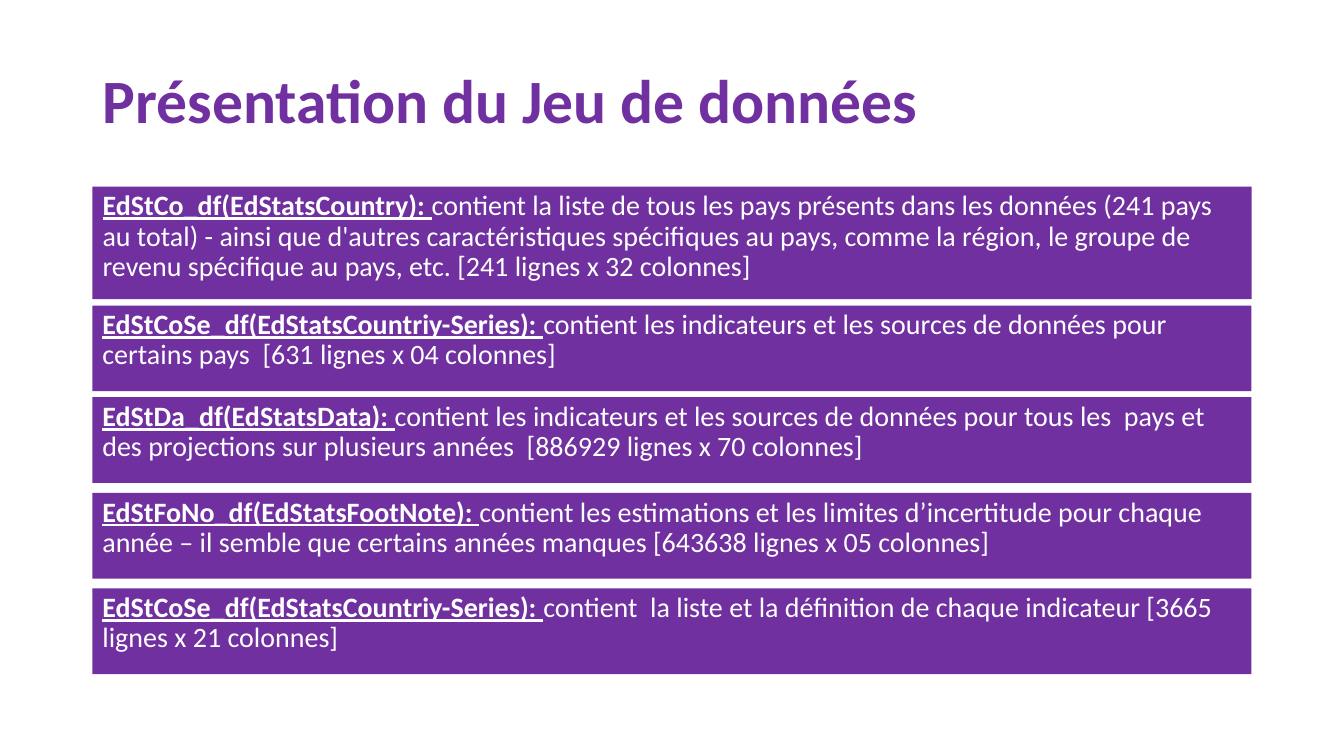
import dataclasses
import typing

import lxml.etree
import pptx
import pptx.dml.color
import pptx.enum.shapes
import pptx.enum.text
import pptx.oxml.ns
import pptx.util

Cm = pptx.util.Cm
Pt = pptx.util.Pt


@dataclasses.dataclass(frozen=True)
class Theme:
    font: str = "Calibri"
    purple: pptx.dml.color.RGBColor = pptx.dml.color.RGBColor(0x70, 0x30, 0xA0)
    white: pptx.dml.color.RGBColor = pptx.dml.color.RGBColor(0xFF, 0xFF, 0xFF)
    title_size: int = 44
    body_size: int = 20
    line_spacing: float = 0.9
    space_before: int = 10


@dataclasses.dataclass(frozen=True)
class Dataset:
    name: str
    description: str
    top: float
    height: float = 2.16


THEME = Theme()
LEFT, WIDTH = 2.33, 29.21
TITLE = "Présentation du Jeu de données"
DATASETS = [
    Dataset(
        "EdStCo_df(EdStatsCountry): ",
        "contient la liste de tous les pays présents dans les données (241 pays au total) - "
        "ainsi que d'autres caractéristiques spécifiques au pays, comme la région, le groupe "
        "de revenu spécifique au pays, etc. [241 lignes x 32 colonnes]",
        top=4.7,
        height=2.84,
    ),
    Dataset(
        "EdStCoSe_df(EdStatsCountriy-Series): ",
        "contient les indicateurs et les sources de données pour certains pays  "
        "[631 lignes x 04 colonnes]",
        top=7.7,
    ),
    Dataset(
        "EdStDa_df(EdStatsData): ",
        "contient les indicateurs et les sources de données pour tous les  pays et des "
        "projections sur plusieurs années  [886929 lignes x 70 colonnes]",
        top=10.01,
    ),
    Dataset(
        "EdStFoNo_df(EdStatsFootNote): ",
        "contient les estimations et les limites d’incertitude pour chaque année – il semble "
        "que certains années manques [643638 lignes x 05 colonnes]",
        top=12.42,
    ),
    Dataset(
        "EdStCoSe_df(EdStatsCountriy-Series): ",
        "contient  la liste et la définition de chaque indicateur [3665 lignes x 21 colonnes]",
        top=14.83,
    ),
]


def set_attributes(target: typing.Any, values: dict[str, typing.Any]) -> None:
    for name, value in values.items():
        setattr(target, name, value)


def place(shape: typing.Any, top: float, height: float) -> None:
    """Set the shape in the slide's single column."""
    set_attributes(shape, {
        "left": Cm(LEFT), "top": Cm(top), "width": Cm(WIDTH), "height": Cm(height),
    })


def add_run(paragraph: typing.Any, text: str, size: int,
            color: pptx.dml.color.RGBColor, bold: bool, underline: bool) -> None:
    run = paragraph.add_run()
    run.text = text
    set_attributes(run.font, {
        "name": THEME.font, "size": Pt(size), "bold": bold, "underline": underline,
    })
    run.font.color.rgb = color


def format_text(shape: typing.Any, anchor: pptx.enum.text.MSO_ANCHOR,
                space_before: int) -> typing.Any:
    """Format the text frame and return its first paragraph."""
    set_attributes(shape.text_frame, {
        "word_wrap": True,
        "auto_size": pptx.enum.text.MSO_AUTO_SIZE.NONE,
        "vertical_anchor": anchor,
    })
    paragraph = shape.text_frame.paragraphs[0]
    set_attributes(paragraph, {
        "alignment": pptx.enum.text.PP_ALIGN.LEFT,
        "line_spacing": THEME.line_spacing,
        "space_before": Pt(space_before),
    })
    return paragraph


def remove_bullet(paragraph: typing.Any) -> None:
    properties = paragraph._p.get_or_add_pPr()
    properties.set("marL", "0")
    properties.set("indent", "0")
    lxml.etree.SubElement(properties, pptx.oxml.ns.qn("a:buNone"))


def fill_title(title: typing.Any) -> None:
    place(title, top=1.02, height=3.2)
    paragraph = format_text(title, pptx.enum.text.MSO_ANCHOR.MIDDLE, space_before=0)
    add_run(paragraph, TITLE, THEME.title_size, THEME.purple, bold=True, underline=False)


def fill_band(shape: typing.Any, dataset: Dataset) -> None:
    """Turn the shape into the purple band that describes the dataset."""
    place(shape, dataset.top, dataset.height)
    shape.fill.solid()
    shape.fill.fore_color.rgb = THEME.purple
    shape.line.fill.background()
    paragraph = format_text(shape, pptx.enum.text.MSO_ANCHOR.TOP, THEME.space_before)
    remove_bullet(paragraph)
    add_run(paragraph, dataset.name, THEME.body_size, THEME.white, bold=True, underline=True)
    add_run(paragraph, dataset.description, THEME.body_size, THEME.white,
            bold=False, underline=False)


def main() -> None:
    presentation = pptx.Presentation()
    set_attributes(presentation, {"slide_width": Cm(33.87), "slide_height": Cm(19.05)})
    slide = presentation.slides.add_slide(presentation.slide_layouts[1])
    fill_title(slide.shapes.title)
    first, *others = DATASETS
    fill_band(slide.placeholders[1], first)
    for dataset in others:
        shape = slide.shapes.add_shape(
            pptx.enum.shapes.MSO_SHAPE.RECTANGLE, Cm(0), Cm(0), Cm(1), Cm(1))
        shape.shadow.inherit = False
        fill_band(shape, dataset)
    presentation.save("out.pptx")


if __name__ == "__main__":
    main()
